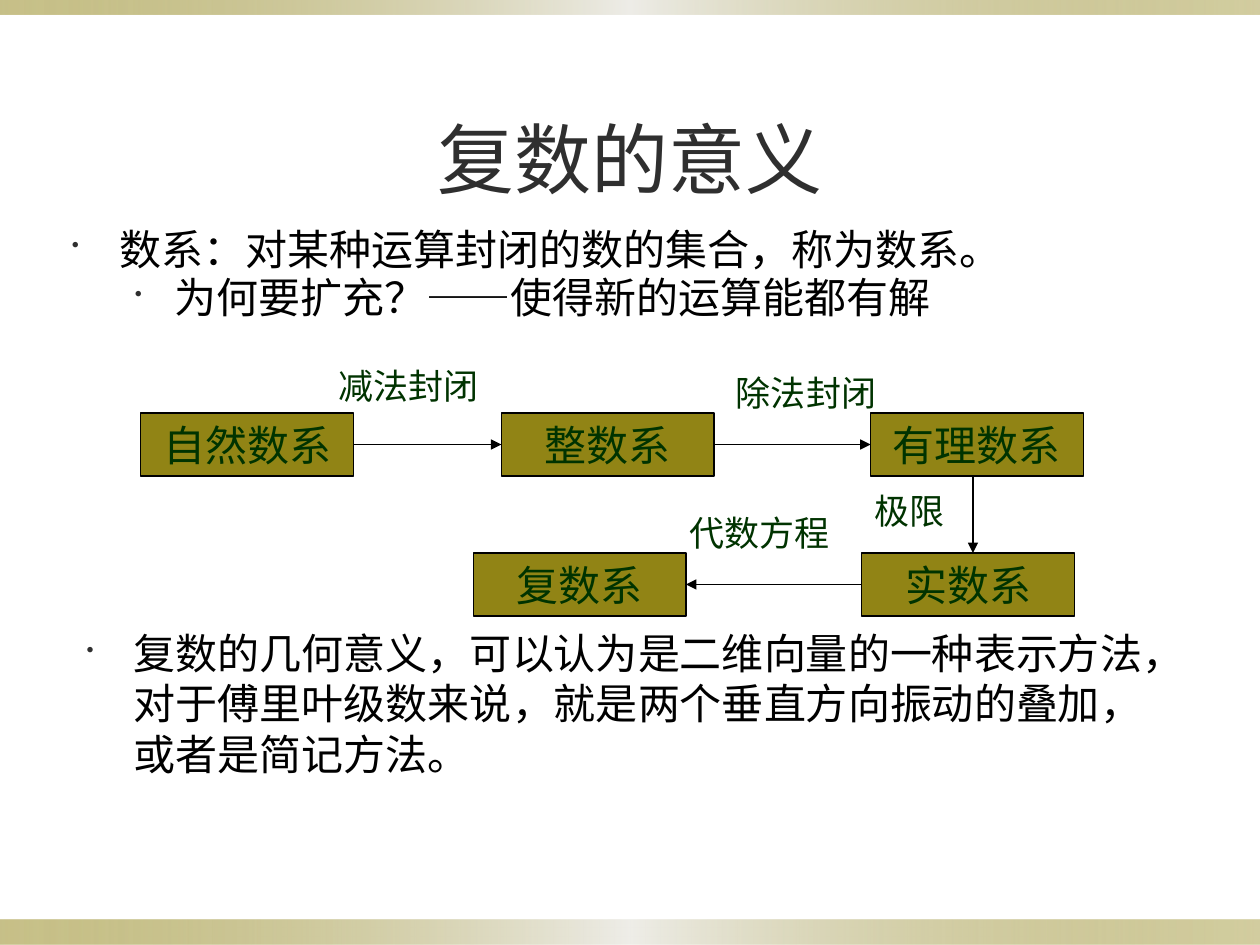
from lxml import etree
from pptx import Presentation
from pptx.dml.color import RGBColor
from pptx.enum import shapes, text
from pptx.oxml import ns
from pptx.util import Pt

FONT = "Cabin"
OLIVE, GREEN, BLACK, GREY = "918415", "003300", "000000", "2F2F2F"
TOP, LEFT, BOTTOM, RIGHT = range(4)


def rgb(value):
    return RGBColor.from_string(value)


def add_xml(parent, tag, **attrs):
    return etree.SubElement(parent, ns.qn(tag), attrs)


class Deck:
    """Holds the style and the current slide."""

    def __init__(self, width, height):
        self.prs = Presentation()
        self.prs.slide_width, self.prs.slide_height = Pt(width), Pt(height)
        self.s = self.prs.slides.add_slide(self.prs.slide_layouts[6])

    def style(self, p, size, color):
        p.font.size, p.font.name = Pt(size), FONT
        p.font.color.rgb = rgb(color)

    def rectangle(self, x, y, w, h):
        sp = self.s.shapes.add_shape(
            shapes.MSO_SHAPE.RECTANGLE, Pt(x), Pt(y), Pt(w), Pt(h))
        sp.shadow.inherit = False
        return sp

    def band(self, y, h):
        """Full-width strip fading from olive to pale grey and back."""
        sp = self.rectangle(0, y, 720, h)
        sp.line.fill.background()
        sp.fill.gradient()
        sp.fill.gradient_angle = 0
        stops = sp._element.spPr.find(ns.qn("a:gradFill")).find(ns.qn("a:gsLst"))
        for stop in list(stops):
            stops.remove(stop)
        for pos, color, alpha in ((0, OLIVE, 50), (50, "EEEDE8", 100), (100, OLIVE, 40)):
            stop = add_xml(stops, "a:gs", pos=str(pos * 1000))
            clr = add_xml(stop, "a:srgbClr", val=color)
            add_xml(clr, "a:alpha", val=str(alpha * 1000))

    def text_frame(self, x, y, w, h):
        tf = self.s.shapes.add_textbox(Pt(x), Pt(y), Pt(w), Pt(h)).text_frame
        tf.word_wrap = True
        return tf

    def title(self, words, x, y, w, h):
        tf = self.text_frame(x, y, w, h)
        tf.vertical_anchor = text.MSO_ANCHOR.MIDDLE
        p = tf.paragraphs[0]
        p.text, p.alignment = words, text.PP_ALIGN.CENTER
        self.style(p, 44, GREY)

    def label(self, words, x, y, w):
        p = self.text_frame(x, y, w, 31).paragraphs[0]
        p.text = words
        self.style(p, 20, GREEN)

    def bullets(self, items, x, y, w, h, spacing=1.0):
        """Each item is (level, words)."""
        tf = self.text_frame(x, y, w, h)
        for i, (level, words) in enumerate(items):
            p = tf.add_paragraph() if i else tf.paragraphs[0]
            p.text, p.level = words, level
            margin, hang = ((27, 27), (58.5, 22.5))[level]
            pPr = p._p.get_or_add_pPr()
            pPr.set("marL", str(Pt(margin)))
            pPr.set("indent", str(-Pt(hang)))
            add_xml(add_xml(pPr, "a:buClr"), "a:srgbClr", val=GREY)
            add_xml(pPr, "a:buSzPct", val="50000")
            add_xml(pPr, "a:buChar", char="•")
            p.line_spacing = spacing
            if i:
                p.space_before = Pt(4.8)
            self.style(p, 24, BLACK)

    def box(self, words, x, y):
        sp = self.rectangle(x, y, 121.5, 36)
        sp.fill.solid()
        sp.fill.fore_color.rgb = rgb(OLIVE)
        sp.line.color.rgb, sp.line.width = rgb(BLACK), Pt(0.75)
        tf = sp.text_frame
        tf.word_wrap = False
        tf.vertical_anchor = text.MSO_ANCHOR.MIDDLE
        p = tf.paragraphs[0]
        p.text, p.alignment = words, text.PP_ALIGN.CENTER
        self.style(p, 24, GREEN)
        return sp

    def arrow(self, x1=0, y1=0, x2=0, y2=0):
        c = self.s.shapes.add_connector(
            shapes.MSO_CONNECTOR.STRAIGHT, Pt(x1), Pt(y1), Pt(x2), Pt(y2))
        c.line.color.rgb, c.line.width = rgb(BLACK), Pt(0.75)
        add_xml(c.line._get_or_add_ln(), "a:tailEnd", type="triangle")
        add_xml(c._element.spPr, "a:effectLst")
        return c

    def join(self, start, start_side, end, end_side):
        c = self.arrow()
        c.begin_connect(start, start_side)
        c.end_connect(end, end_side)


def main():
    deck = Deck(720, 540)
    deck.band(525.5, 14.5)
    deck.band(0, 8.5)
    deck.title("复数的意义", 36, 45, 648, 90)
    deck.bullets([(0, "数系：对某种运算封闭的数的集合，称为数系。"),
                  (1, "为何要扩充？——使得新的运算能都有解")],
                 34, 129.5, 652, 73, spacing=0.8)
    deck.bullets([(0, "复数的几何意义，可以认为是二维向量的一种表示方法，"
                      "对于傅里叶级数来说，就是两个垂直方向振动的叠加，"
                      "或者是简记方法。")],
                 42.5, 355, 623.5, 130)

    for words, x, y, w in (("减法封闭", 186.5, 204.5, 116),
                           ("除法封闭", 413.5, 208.5, 116),
                           ("极限", 492.5, 276, 63),
                           ("代数方程", 387, 289, 116)):
        deck.label(words, x, y, w)

    upper, lower = 236, 316
    natural = deck.box("自然数系", 80.5, upper)
    integer = deck.box("整数系", 286.5, upper)
    rational = deck.box("有理数系", 497.5, upper)
    real = deck.box("实数系", 492.5, lower)
    complex_ = deck.box("复数系", 270.5, lower)

    deck.join(natural, RIGHT, integer, LEFT)
    deck.join(integer, RIGHT, rational, LEFT)
    deck.arrow(556, upper + 36, 556, lower)
    deck.join(real, LEFT, complex_, RIGHT)
    deck.prs.save("out.pptx")


if __name__ == "__main__":
    main()
